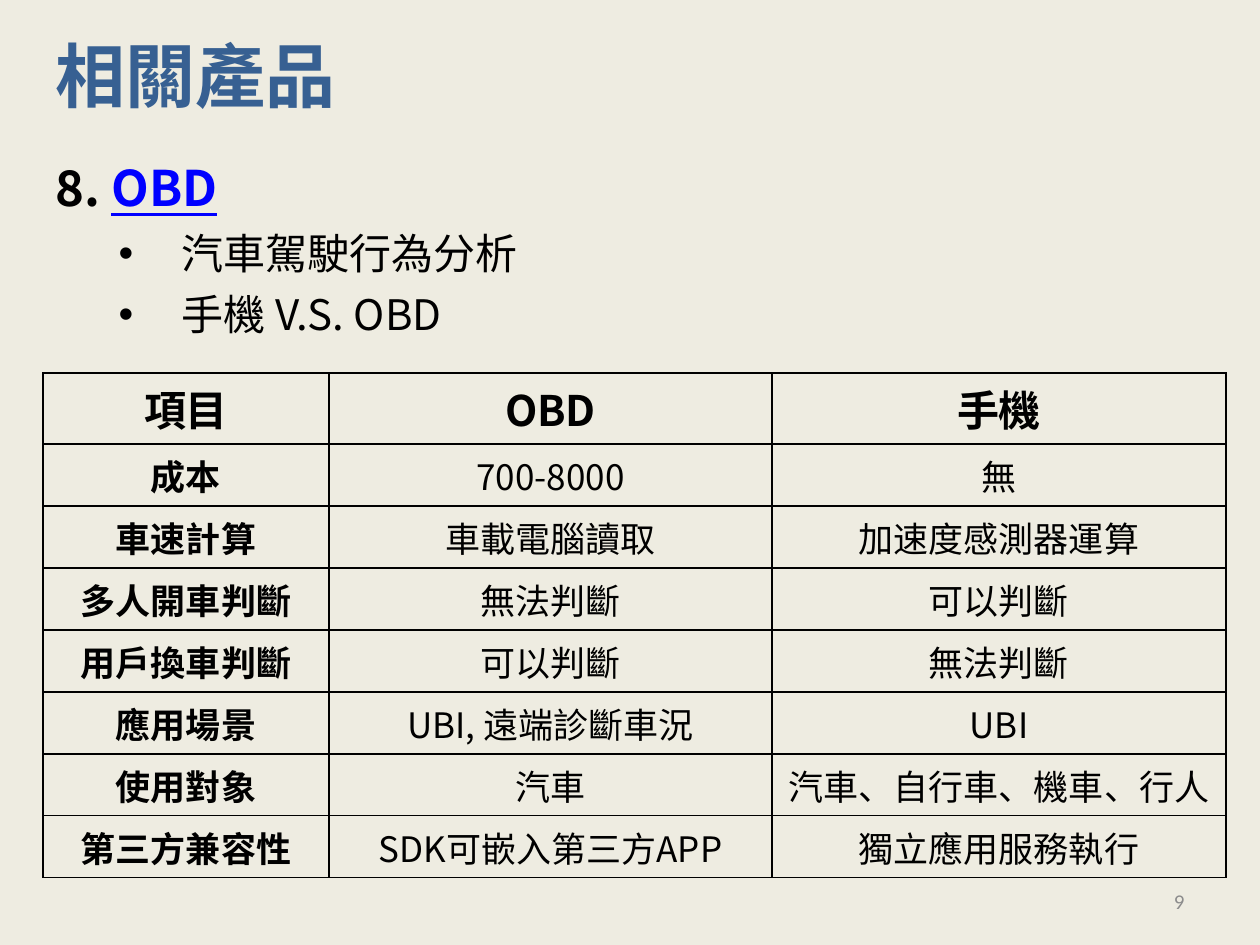
"""Build the related products slide comparing OBD with mobile phones."""
from dataclasses import dataclass

import lxml.etree
import pptx
import pptx.dml.color
import pptx.enum.text
import pptx.oxml.ns
import pptx.util

PX = 914400 / 126
CJK = "Noto Sans CJK SC"
COLORS = {
    "paper": "EEECE1",
    "title": "376092",
    "ink": "000000",
    "link": "0000FF",
    "number": "8C8C8C",
}
ALIGN = pptx.enum.text.PP_ALIGN
ANCHOR = pptx.enum.text.MSO_ANCHOR


@dataclass
class Span:
    text: str
    size: int
    color: str = "ink"
    bold: bool = False
    underline: bool = False
    font: str = CJK


@dataclass
class Line:
    spans: list[Span]
    pitch: int
    bullet: bool = False


@dataclass
class Frame:
    left: int
    top: int
    width: int
    height: int

    def emu(self) -> list[int]:
        return [px(n) for n in (self.left, self.top, self.width, self.height)]


LINES = [
    Line([Span("8. ", 28, bold=True),
          Span("OBD", 28, "link", bold=True, underline=True)], 34),
    Line([Span("汽車駕駛行為分析", 24)], 29, bullet=True),
    Line([Span("手機 V.S. OBD", 24)], 29, bullet=True),
]
COLUMNS = [286, 443, 454]
HEADER_HEIGHT, ROW_HEIGHT = 71, 62
ROWS = [
    ("項目", "OBD", "手機"),
    ("成本", "700-8000", "無"),
    ("車速計算", "車載電腦讀取", "加速度感測器運算"),
    ("多人開車判斷", "無法判斷", "可以判斷"),
    ("用戶換車判斷", "可以判斷", "無法判斷"),
    ("應用場景", "UBI, 遠端診斷車況", "UBI"),
    ("使用對象", "汽車", "汽車、自行車、機車、行人"),
    ("第三方兼容性", "SDK可嵌入第三方APP", "獨立應用服務執行"),
]


def px(count: int) -> int:
    return round(count * PX)


def rgb(name: str) -> pptx.dml.color.RGBColor:
    return pptx.dml.color.RGBColor.from_string(COLORS[name])


def add_element(parent, tag: str, **attributes: str):
    return lxml.etree.SubElement(parent, pptx.oxml.ns.qn(tag), **attributes)


def add_span(para, span: Span) -> None:
    run = para.add_run()
    run.text = span.text
    font = run.font
    font.size = pptx.util.Pt(span.size)
    font.bold = span.bold
    font.underline = span.underline
    font.color.rgb = rgb(span.color)
    font.name = span.font
    add_element(font._element, "a:ea", typeface=span.font)


def place(shape, frame: Frame, anchor=ANCHOR.TOP):
    shape.left, shape.top, shape.width, shape.height = frame.emu()
    box = shape.text_frame
    box.word_wrap = True
    box.auto_size = pptx.enum.text.MSO_AUTO_SIZE.NONE
    box.vertical_anchor = anchor
    return box


def add_title(page) -> None:
    box = place(page.shapes.title, Frame(43, 26, 310, 97))
    para = box.paragraphs[0]
    para.alignment = ALIGN.LEFT
    para.line_spacing = pptx.util.Pt(48)
    add_span(para, Span("相關產品", 40, "title", bold=True))


def add_body(page) -> None:
    box = place(page.placeholders[1], Frame(43, 151, 1217, 602))
    for index, line in enumerate(LINES):
        para = box.paragraphs[0] if index == 0 else box.add_paragraph()
        para.level = 1 if line.bullet else 0
        props = para._p.get_or_add_pPr()
        props.set("marL", str(px(126 if line.bullet else 0)))
        props.set("indent", str(px(-63 if line.bullet else 0)))
        if line.bullet:
            add_element(props, "a:buFont", typeface="Arial")
            add_element(props, "a:buChar", char="•")
        else:
            add_element(props, "a:buNone")
        para.line_spacing = pptx.util.Pt(line.pitch)
        para.space_before = pptx.util.Pt(0)
        para.space_after = pptx.util.Pt(6)
        for span in line.spans:
            add_span(para, span)


def add_borders(cell) -> None:
    props = cell._tc.get_or_add_tcPr()
    for position, side in enumerate(("lnL", "lnR", "lnT", "lnB")):
        border = lxml.etree.Element(pptx.oxml.ns.qn(f"a:{side}"), w="12700")
        fill = add_element(border, "a:solidFill")
        add_element(fill, "a:srgbClr", val=COLORS["ink"])
        props.insert(position, border)


def add_comparison(page) -> None:
    heights = [HEADER_HEIGHT] + [ROW_HEIGHT] * (len(ROWS) - 1)
    frame = Frame(43, 373, sum(COLUMNS), sum(heights))
    table = page.shapes.add_table(len(ROWS), len(COLUMNS), *frame.emu()).table
    table.horz_banding = False
    for column, width in zip(table.columns, COLUMNS):
        column.width = px(width)
    for y, (row, height) in enumerate(zip(table.rows, heights)):
        row.height = px(height)
        for x, cell in enumerate(row.cells):
            cell.fill.background()
            cell.vertical_anchor = ANCHOR.MIDDLE
            cell.margin_top = cell.margin_bottom = 0
            add_borders(cell)
            para = cell.text_frame.paragraphs[0]
            para.alignment = ALIGN.CENTER
            add_span(para, Span(ROWS[y][x], 20 if y else 24,
                                bold=y == 0 or x == 0))


def add_number(page) -> None:
    frame = Frame(903, 876, 294, 50)
    box = place(page.shapes.add_textbox(*frame.emu()), frame, ANCHOR.MIDDLE)
    para = box.paragraphs[0]
    para.alignment = ALIGN.RIGHT
    add_span(para, Span("9", 12, "number", font="Calibri"))


def main() -> None:
    deck = pptx.Presentation()
    deck.slide_width, deck.slide_height = px(1260), px(945)
    page = deck.slides.add_slide(deck.slide_layouts[1])
    page.background.fill.solid()
    page.background.fill.fore_color.rgb = rgb("paper")
    add_body(page)
    add_title(page)
    add_number(page)
    add_comparison(page)
    deck.save("out.pptx")


if __name__ == "__main__":
    main()
